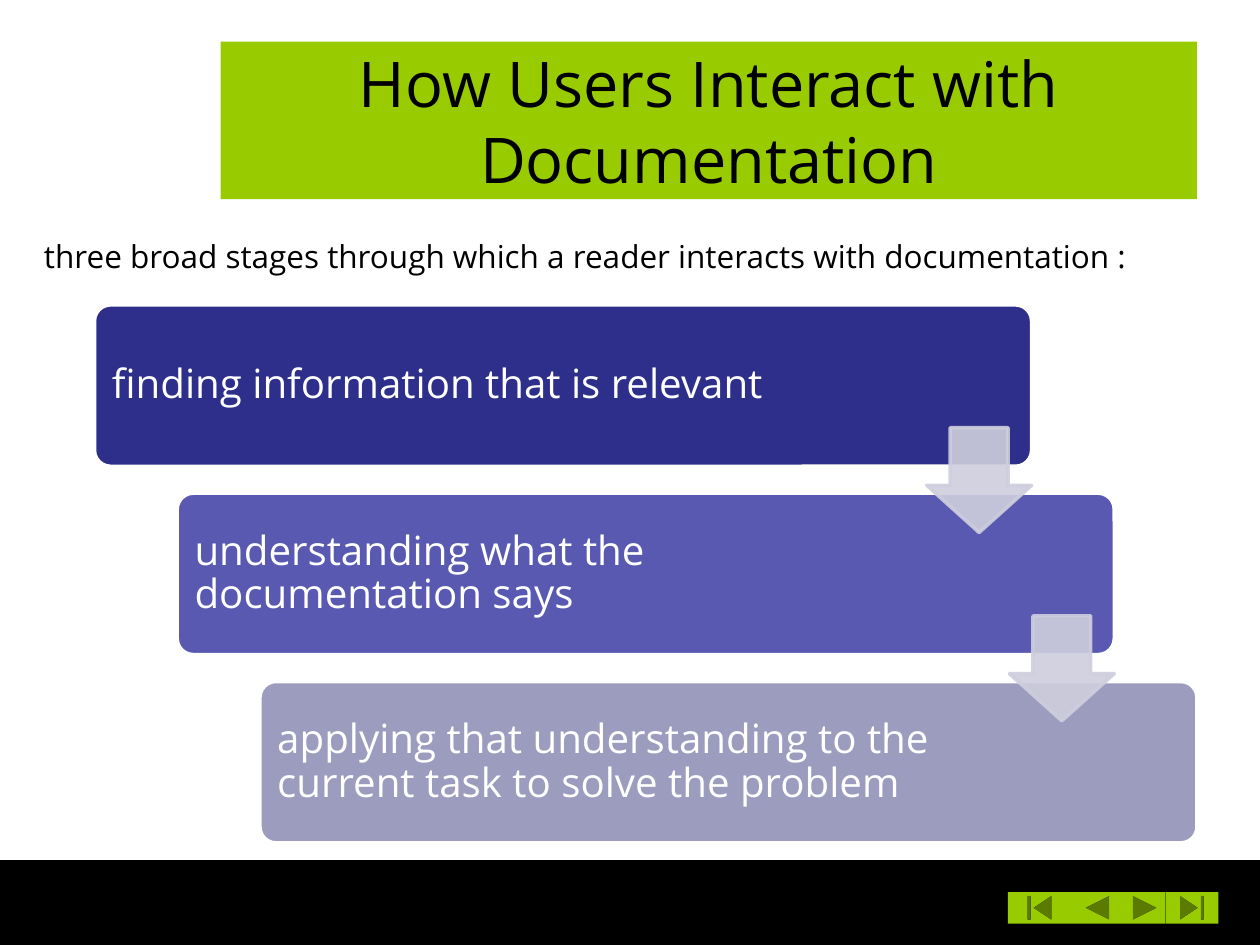
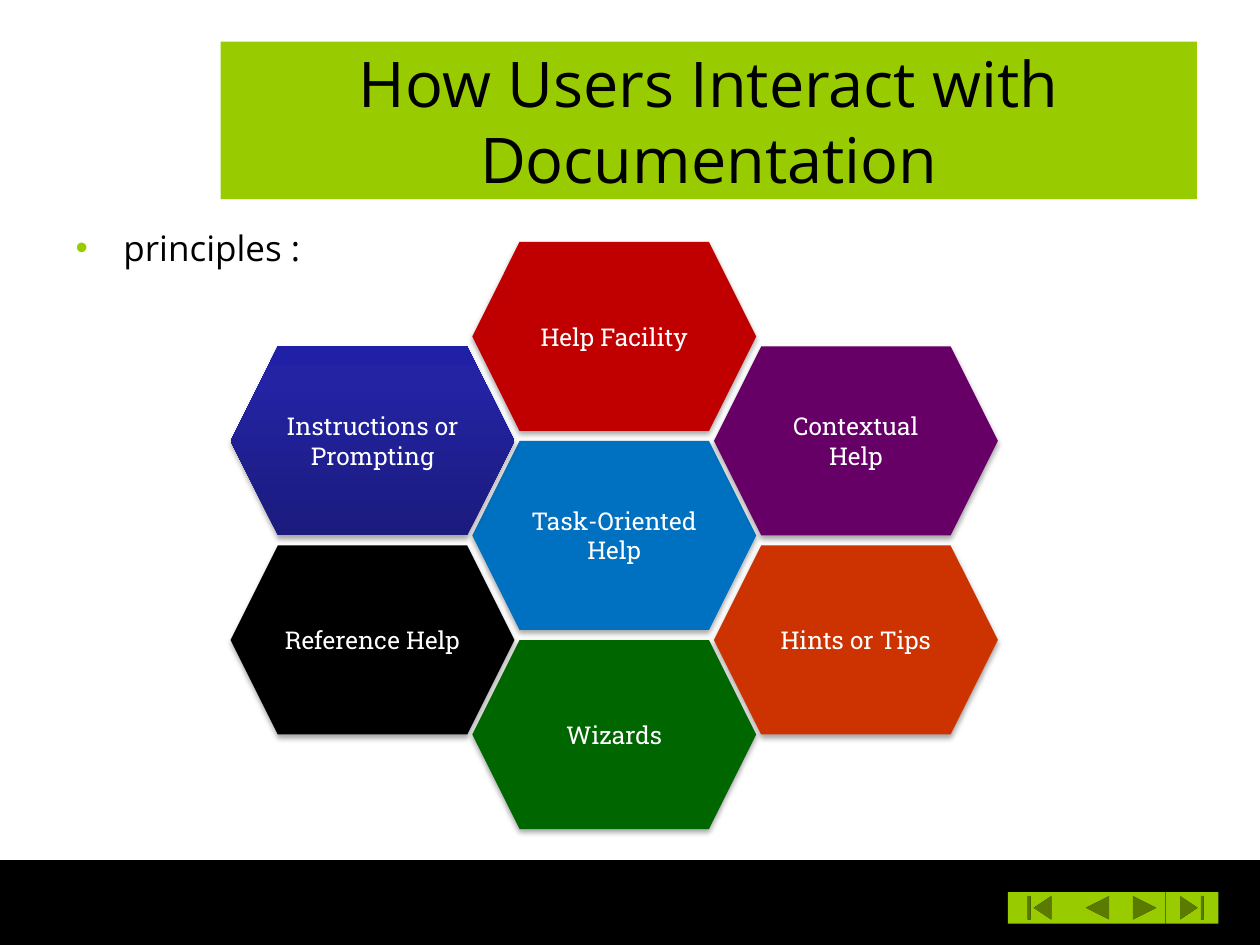
from copy import deepcopy

from lxml.etree import SubElement
from pptx import Presentation
from pptx.dml.color import RGBColor
from pptx.enum.shapes import MSO_SHAPE as Kind
from pptx.enum.text import MSO_ANCHOR as Anchor, MSO_AUTO_SIZE as Fit, PP_ALIGN as Align
from pptx.oxml.ns import qn
from pptx.util import Inches, Pt

WIDE, HIGH = 10, 7.5
LIME, BLACK, WHITE, MIST = "99CC00", "000000", "FFFFFF", "CECEDE"
SANS, SLAB = "Open Sans", "Roboto Slab"
HEAD = "How Users Interact with Documentation"
HEAD_BOX = (1.75, 0.33, 7.75, 1.25)
BODY_BOX = (0.5, 1.75, 9, 4.95)

BUTTONS = [  # kind, left and width
    (Kind.ACTION_BUTTON_BEGINNING, 8, 0.5),
    (Kind.ACTION_BUTTON_BACK_OR_PREVIOUS, 8.5, 0.42),
    (Kind.ACTION_BUTTON_FORWARD_OR_NEXT, 8.92, 0.33),
    (Kind.ACTION_BUTTON_END, 9.25, 0.42),
]
STAGES = [  # text, fill and text width as a share of the bar
    ("finding information that is relevant", "2E2E8B", 0.81),
    ("understanding what the documentation says", "5959B1", 0.79),
    ("applying that understanding to the current task to solve the problem", "9C9CBF", 0.79),
]
LOW = 0.525  # drop of the outer columns, in rows
CELLS = [  # text, fill, column and row
    ("Reference Help", BLACK, 0, 1 + LOW),
    ("Task-Oriented Help", "0070C0", 1, 1),
    ("Hints or Tips", "CC3300", 2, 1 + LOW),
    ("Contextual Help", "660066", 2, LOW),
    ("Wizards", "006600", 1, 2),
    ("Help Facility", "C00000", 1, 0),
    ("Instructions or Prompting", None, 0, LOW),
]
BLUES = [(0, "1B1B7E"), (0.8, "2323A3"), (1, "2020A6")]


def hue(code):
    """Turn a hex string into a colour."""
    return RGBColor.from_string(code)


def style(item, **values):
    """Set each named format value on an object."""
    for name, value in values.items():
        setattr(item, name, value)


def place(item, box):
    """Move an object to a box given in inches."""
    names = ("left", "top", "width", "height")
    style(item, **dict(zip(names, map(Inches, box))))


def paint(shape, fill, line=None, width=2):
    """Give a shape a solid fill and an optional line."""
    if fill:
        shape.fill.solid()
        shape.fill.fore_color.rgb = hue(fill)
    if line:
        shape.line.color.rgb = hue(line)
        shape.line.width = Pt(width)
    else:
        shape.line.fill.background()


def draw(shapes, kind, box, fill, line=None, width=2, adjust=()):
    """Add a flat preset shape."""
    shape = shapes.add_shape(kind, *map(Inches, box))
    shape.shadow.inherit = False
    paint(shape, fill, line, width)
    for i, value in enumerate(adjust):
        shape.adjustments[i] = value
    return shape


def write(shape, text, size, color=BLACK, font=SANS, align=Align.LEFT, **frame):
    """Put one formatted paragraph in a shape and return it."""
    style(shape.text_frame, **{"word_wrap": True, "auto_size": Fit.NONE, **frame})
    para = shape.text_frame.paragraphs[0]
    para.alignment = align
    run = para.add_run()
    run.text = text
    style(run.font, name=font, size=Pt(size))
    run.font.color.rgb = hue(color)
    return para


def footer(master, slide):
    """Draw the bottom band and its buttons, then move them to the master."""
    parts = [draw(slide.shapes, Kind.RECTANGLE, (0, 6.83, WIDE, 0.67), BLACK, BLACK, 0.75)]
    for kind, left, width in BUTTONS:
        parts.append(draw(slide.shapes, kind, (left, 7.08, width, 0.25), LIME))
    for part in parts:
        master.shapes.element.append(part.element)


def title(slide):
    """Fill the title band."""
    band = slide.shapes.title
    place(band, HEAD_BOX)
    paint(band, LIME)
    write(band, HEAD, 36, align=Align.CENTER, vertical_anchor=Anchor.MIDDLE)


def bullet(slide, text):
    """Fill the body placeholder with one bulleted line."""
    body = slide.placeholders[1]
    place(body, BODY_BOX)
    para = write(body, text, 20, vertical_anchor=Anchor.TOP)
    para.space_before = Pt(4)
    props = para._p.get_or_add_pPr()
    props.set("marL", str(Inches(0.38)))
    props.set("indent", str(-Inches(0.38)))
    SubElement(SubElement(props, qn("a:buClr")), qn("a:srgbClr"), val=LIME)
    SubElement(props, qn("a:buChar"), char="\u2022")


def stairs(slide, box):
    """Draw the stages as descending bars joined by arrows."""
    x, y, w, h = box
    wide, high = 0.85 * w, 0.3 * h
    size, inset = 0.65 * high, 0.04
    group = slide.shapes.add_group_shape().shapes
    spots = [(x + 0.075 * w * i, y + 0.35 * h * i) for i in range(len(STAGES))]
    pad = dict.fromkeys(("margin_left", "margin_right", "margin_top", "margin_bottom"), Inches(0.1))
    for (left, top), (text, fill, share) in zip(spots, STAGES):
        draw(group, Kind.ROUNDED_RECTANGLE, (left, top, wide, high), fill, WHITE, adjust=[0.1])
        area = (left + inset, top + inset, share * wide, high - 2 * inset)
        label = group.add_textbox(*map(Inches, area))
        para = write(label, text, 23, WHITE, vertical_anchor=Anchor.MIDDLE, **pad)
        para.line_spacing = 0.9
    for left, top in spots[:-1]:
        area = (left + wide - size, top + 0.76 * high, size, size)
        arrow = draw(group, Kind.DOWN_ARROW, area, MIST, MIST, adjust=[0.55, 0.45])
        for color in arrow.element.spPr.iter(qn("a:srgbClr")):
            SubElement(color, qn("a:alpha"), val="90000")


def blend(shape, stops):
    """Fill a shape with a gradient that runs from bottom to top."""
    shape.fill.gradient()
    shape.fill.gradient_angle = 90
    marks = next(shape.element.spPr.iter(qn("a:gsLst")))
    while len(marks) < len(stops):
        marks.append(deepcopy(marks[-1]))
    for mark, (spot, code) in zip(shape.fill.gradient_stops, stops):
        mark.position = spot
        mark.color.rgb = hue(code)


def shade(shape):
    """Cast a soft shadow straight down."""
    effects = shape.element.spPr.find(qn("a:effectLst"))
    cast = SubElement(effects, qn("a:outerShdw"), blurRad="40000", dist="23000",
                      dir="5400000", rotWithShape="0")
    color = SubElement(cast, qn("a:srgbClr"), val=BLACK)
    SubElement(color, qn("a:alpha"), val="35000")


def comb(slide, box):
    """Draw the principles as a honeycomb of three columns."""
    x, y, w, h = box
    wide, high = 0.37 * w, 0.322 * h
    across, down = (w - wide) / 2, (h - high) / 2
    for text, fill, col, row in CELLS:
        area = (x + across * col, y + down * row, wide, high)
        cell = draw(slide.shapes, Kind.HEXAGON, area, fill)
        if not fill:
            blend(cell, BLUES)
        shade(cell)
        write(cell, text, 14, WHITE, SLAB, Align.CENTER, vertical_anchor=Anchor.MIDDLE)


def stages(deck):
    """Build the slide of reading stages."""
    slide = deck.slides.add_slide(deck.slide_layouts[5])
    footer(deck.slide_master, slide)
    title(slide)
    stairs(slide, (0.75, 2.42, 8.75, 4.27))
    intro = slide.shapes.add_textbox(*map(Inches, (0.25, 1.83, 9.65, 0.71)))
    write(intro, "three broad stages through which a reader interacts with documentation :",
          18, word_wrap=False, auto_size=Fit.SHAPE_TO_FIT_TEXT)


def rules(deck):
    """Build the slide of help principles."""
    slide = deck.slides.add_slide(deck.slide_layouts[1])
    title(slide)
    bullet(slide, "principles :")
    comb(slide, (1.83, 1.92, 6.09, 4.66))


def main():
    """Build and save the deck."""
    deck = Presentation()
    style(deck, slide_width=Inches(WIDE), slide_height=Inches(HIGH))
    stages(deck)
    rules(deck)
    deck.save("out.pptx")


main()
